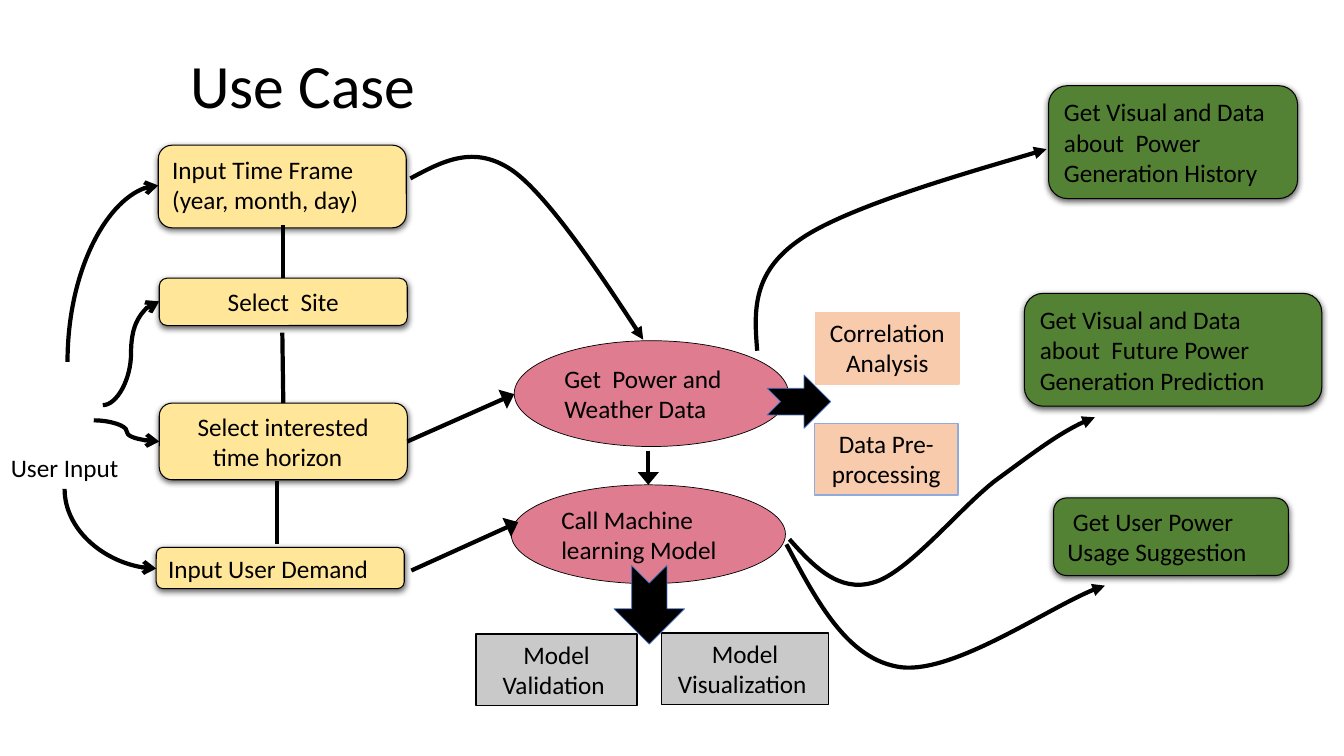
import pptx
import pptx.util
import pptx.dml.color
import pptx.enum.shapes
import pptx.enum.text
import pptx.oxml
import pptx.oxml.ns
from lxml import etree

Inches = pptx.util.Inches
Pt = pptx.util.Pt
RGB = pptx.dml.color.RGBColor
KIND = pptx.enum.shapes.MSO_SHAPE
LINK = pptx.enum.shapes.MSO_CONNECTOR
ALIGN = pptx.enum.text.PP_ALIGN
ANCHOR = pptx.enum.text.MSO_ANCHOR
qn = pptx.oxml.ns.qn

BLACK = RGB(0x00, 0x00, 0x00)
YELLOW = RGB(0xFF, 0xE6, 0x99)
PINK = RGB(0xE0, 0x7C, 0x90)
PEACH = RGB(0xF8, 0xCB, 0xAD)
SKY = RGB(0x8F, 0xAA, 0xDC)
BLUE = RGB(0x44, 0x72, 0xC4)
GREY = RGB(0xC9, 0xC9, 0xC9)
GREEN = RGB(0x54, 0x82, 0x35)

SHADE = (
    '<a:effectLst xmlns:a="http://schemas.openxmlformats.org/drawingml/2006/main">'
    '<a:outerShdw blurRad="57150" dist="19050" dir="5400000" algn="ctr" rotWithShape="0">'
    '<a:srgbClr val="000000"><a:alpha val="63000"/></a:srgbClr>'
    '</a:outerShdw></a:effectLst>')


def write(frame, text, size=18, align=ALIGN.LEFT, anchor=ANCHOR.MIDDLE, wrap=True, space=None):
    """Fill a text frame, one paragraph for each line."""
    frame.word_wrap = wrap
    frame.vertical_anchor = anchor
    for i, part in enumerate(text.split("\n")):
        para = frame.paragraphs[0] if i == 0 else frame.add_paragraph()
        para.alignment = align
        para.line_spacing = space
        run = para.add_run()
        run.text = part
        run.font.name = "Calibri"
        run.font.size = Pt(size)
        run.font.color.rgb = BLACK


def label(slide, box, text, **form):
    area = slide.shapes.add_textbox(*map(Inches, box))
    write(area.text_frame, text, **form)


def block(slide, kind, box, fill, text="", edge=BLACK, width=0.75, shade=False, **form):
    """Draw a filled preset shape with optional text."""
    shape = slide.shapes.add_shape(kind, *map(Inches, box))
    shape.fill.solid()
    shape.fill.fore_color.rgb = fill
    shape.line.color.rgb = edge
    shape.line.width = Pt(width)
    shape.shadow.inherit = False
    if shade:
        props = shape.element.spPr
        props.replace(props.find(qn("a:effectLst")), pptx.oxml.parse_xml(SHADE))
    if text:
        write(shape.text_frame, text, **form)
    return shape


def stroke(shape, head=None, wide="med"):
    """Give a line its black 3 pt pen and arrowhead."""
    shape.line.color.rgb = BLACK
    shape.line.width = Pt(3)
    if head:
        pen = shape.element.spPr.get_or_add_ln()
        etree.SubElement(pen, qn("a:tailEnd"), type=head, w=wide, len="med")


def link(slide, start, end, head=None, wide="med", kind=LINK.STRAIGHT):
    line = slide.shapes.add_connector(kind, *map(Inches, (*start, *end)))
    stroke(line, head, wide)
    etree.SubElement(line.element.spPr, qn("a:effectLst"))
    return line


def bend(slide, start, end):
    """Quarter curve that leaves vertically and arrives horizontally."""
    (x1, y1), (x2, y2) = start, end
    mx, my = (x1 + x2) / 2, (y1 + y2) / 2
    turn = 1 if y2 < y1 else -1
    dx, dy = turn * (y1 - my), turn * (mx - x1)
    line = link(slide, (mx + dx, my + dy), (mx - dx, my - dy), "arrow", kind=LINK.CURVE)
    props = line.element.spPr
    props.find(qn("a:prstGeom")).set("prst", "curvedConnector2")
    props.find(qn("a:xfrm")).set("rot", str(turn * 90 % 360 * 60000))


def sweep(slide, box, start, *curves):
    """Arrow inside a box along cubic curves, each two controls and an end."""
    x, y, w, h = box
    draft = slide.shapes.build_freeform(Inches(x), Inches(y))
    draft.add_line_segments([(Inches(x + w), Inches(y + h))], close=False)
    shape = draft.convert_to_shape()
    # Trace the curves in the frame just made
    trace = shape.element.spPr.find(".//" + qn("a:path"))
    for step in list(trace):
        trace.remove(step)
    for tag, dots in [("a:moveTo", [start])] + [("a:cubicBezTo", c) for c in curves]:
        step = etree.SubElement(trace, qn(tag))
        for px, py in dots:
            etree.SubElement(step, qn("a:pt"), x=str(Inches(px - x)), y=str(Inches(py - y)))
    shape.fill.background()
    shape.shadow.inherit = False
    stroke(shape, "triangle")


def inputs(slide, x, y, w):
    """Column of user inputs, with the curves that lead to them."""
    label(slide, (0, y + 3, 1.28, 0.4), "User Input", align=ALIGN.CENTER,
          anchor=ANCHOR.TOP, wrap=False)
    rows = [
        (0.01, 0, 0.82, "Input Time Frame\n(year, month, day)", ALIGN.LEFT, ANCHOR.TOP),
        (0.02, 1.32, 0.47, "Select  Site", ALIGN.CENTER, ANCHOR.MIDDLE),
        (0.02, 2.56, 0.76, "Select interested time horizon  ", ALIGN.CENTER, ANCHOR.MIDDLE),
        (-0.01, 3.99, 0.41, "Input User Demand", ALIGN.LEFT, ANCHOR.MIDDLE),
    ]
    for dx, dy, h, text, align, anchor in rows:
        block(slide, KIND.ROUNDED_RECTANGLE, (x + dx, y + dy, w, h), YELLOW, text,
              shade=True, align=align, anchor=anchor)
    # Joins between the boxes
    for x1, y1, x2, y2 in [(1.25, 0.79, 1.25, 1.32), (1.24, 1.86, 1.25, 2.56),
                           (1.19, 3.33, 1.19, 3.96)]:
        link(slide, (x + x1, y + y1), (x + x2, y + y2))
    # Curves from the user
    bend(slide, (x - 0.89, y + 2.15), (x + 0.01, y + 0.4))
    bend(slide, (x - 0.92, y + 3.41), (x - 0.01, y + 4.2))
    for x1, y1, y2 in [(-0.54, 2.58, 1.55), (-0.63, 2.73, 2.94)]:
        link(slide, (x + x1, y + y1), (x + 0.02, y + y2), "arrow", kind=LINK.CURVE)


def core(slide, x, y, w):
    """Data and model ovals with their side tasks."""
    for dx, dy, h, text in [(0.03, 0, 1.05, "Get  Power and Weather Data"),
                            (0, 1.43, 0.98, "Call Machine learning Model")]:
        block(slide, KIND.OVAL, (x + dx, y + dy, w, h), PINK, text, width=0.5)
    # Side tasks
    for dx, dy, wide, fill, edge, text in [
        (3.02, -0.28, 1.42, PEACH, PEACH, "Correlation Analysis"),
        (3.01, 0.82, 1.42, PEACH, SKY, "Data Pre-processing"),
        (-0.35, 2.91, 1.6, GREY, BLACK, "Model Validation "),
        (1.49, 2.9, 1.66, GREY, BLACK, "Model Visualization "),
    ]:
        block(slide, KIND.RECTANGLE, (x + dx, y + dy, wide, 0.71), fill, text,
              edge=edge, width=1, align=ALIGN.CENTER, anchor=ANCHOR.TOP)
    # Arrows into and between the ovals
    for x1, y1, x2, y2 in [(-1.03, 1, 0.03, 0.53), (-0.99, 2.28, 0.07, 1.8),
                           (1.36, 1.09, 1.36, 1.43)]:
        link(slide, (x + x1, y + y1), (x + x2, y + y2), "triangle", "lg")
    # Block arrows to the side tasks
    for dx, dy, wide, h, turn in [(2.54, 0.34, 0.63, 0.53, 0), (0.98, 2.27, 0.78, 0.7, 90)]:
        arrow = block(slide, KIND.NOTCHED_RIGHT_ARROW, (x + dx, y + dy, wide, h),
                      BLACK, edge=BLUE, width=0.5)
        arrow.rotation = turn


def results(slide, x, y):
    """Green result boxes on the right."""
    for dx, dy, w, h, text in [
        (0.24, 0, 2.47, 1.12, "Get Visual and Data about  Power Generation History"),
        (0, 2.06, 2.95, 1.12, "Get Visual and Data about  Future Power Generation Prediction"),
        (0.29, 4.09, 2.33, 0.77, " Get User Power Usage Suggestion"),
    ]:
        block(slide, KIND.ROUNDED_RECTANGLE, (x + dx, y + dy, w, h), GREEN, text, shade=True)


def flows(slide):
    """Long curved arrows between the regions."""
    sweep(slide, (7.83, 4.14, 3.03, 1.66), (7.83, 5.35),
          ((8.07, 5.62), (8.32, 5.88), (8.66, 5.78)),
          ((9, 5.69), (9.51, 5.05), (9.87, 4.77)),
          ((10.24, 4.5), (10.56, 4.25), (10.86, 4.14)))
    sweep(slide, (7.8, 5.4, 3.16, 1.22), (7.8, 5.4),
          ((8.11, 5.98), (8.41, 6.55), (8.94, 6.62)),
          ((9.47, 6.68), (10.54, 5.93), (10.96, 5.81)))
    sweep(slide, (4.07, 1.56, 2.31, 1.81), (4.07, 1.77),
          ((4.39, 1.6), (4.7, 1.43), (5.08, 1.69)),
          ((5.47, 1.96), (6.38, 3.37), (6.38, 3.37)))
    sweep(slide, (7.5, 1.48, 2.88, 2), (7.51, 3.48),
          ((7.48, 3.1), (7.45, 2.71), (7.93, 2.38)),
          ((8.41, 2.04), (9.86, 1.64), (10.38, 1.48)))


def main():
    deck = pptx.Presentation()
    deck.slide_width, deck.slide_height = Inches(13.33), Inches(7.5)
    slide = deck.slides.add_slide(deck.slide_layouts[6])
    inputs(slide, 1.56, 1.44, 2.46)
    core(slide, 5.07, 3.38, 2.72)
    results(slide, 10.16, 0.85)
    label(slide, (0.71, 0.3, 4.59, 0.96), "Use Case", size=44, align=ALIGN.CENTER,
          anchor=ANCHOR.BOTTOM, space=0.9)
    flows(slide)
    deck.save("out.pptx")


if __name__ == "__main__":
    main()
